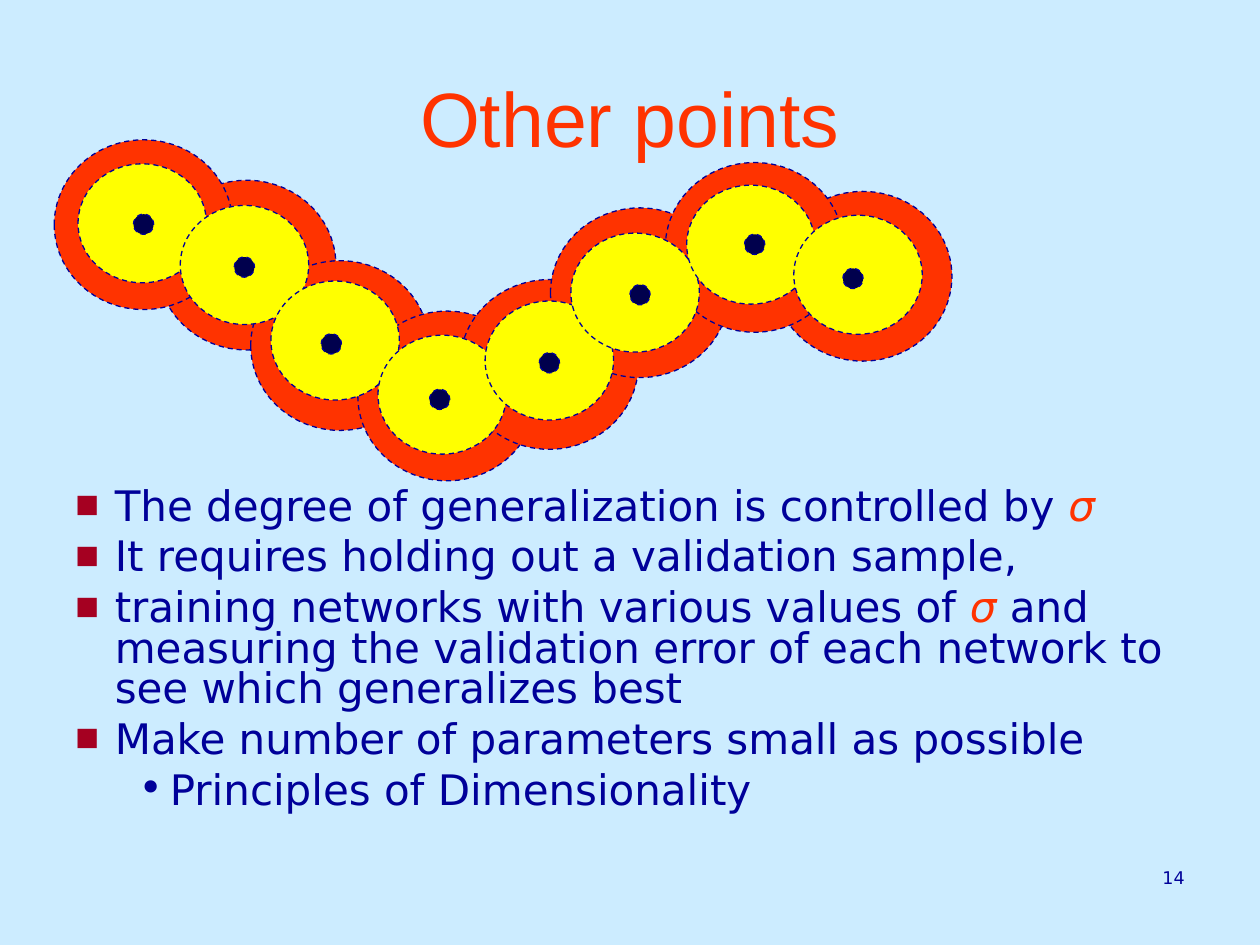
"""Build the "Other points" slide: a chain of circles above bulleted remarks."""
from lxml.etree import SubElement
from pptx import Presentation
from pptx.dml.color import RGBColor
from pptx.enum.dml import MSO_LINE_DASH_STYLE as Dash
from pptx.enum.shapes import MSO_SHAPE as Shape
from pptx.enum.text import MSO_ANCHOR as Anchor, PP_ALIGN as Align
from pptx.oxml.ns import qn
from pptx.util import Pt

NAVY, RED, YELLOW, DARK, MAROON, SKY = (
    "000099", "FF3300", "FFFF00", "00004D", "A50021", "CCECFF")
SANS = "DejaVu Sans"

RINGS = dict(color=RED, width=102, height=97, corners=[
    (90, 103), (143.3, 149), (204.5, 177.8), (262.8, 159.8),
    (314.6, 118.8), (442, 109.4), (380.2, 92.9), (31, 79.9)])
DISKS = dict(color=YELLOW, width=73.4, height=68, corners=[
    (44.6, 93.6), (103, 117.4), (154.8, 160.6), (216, 191.5),
    (277.2, 172), (326.2, 133.2), (392.4, 105.8), (453.6, 123)])
CENTERS = dict(color=DARK, width=11.5, height=11.5, corners=[
    (133.9, 146.9), (76.3, 122.4), (183.6, 190.8), (481.7, 153.4),
    (245.5, 222.5), (425.5, 133.9), (360, 162.7), (308.2, 201.6)])

SIGMA = "σ"
REMARKS = [
    (0, ["The degree of generalization is controlled by ", SIGMA]),
    (0, ["It requires holding out a validation sample,"]),
    (0, ["training networks with various values of ", SIGMA,
         " and measuring the validation error of each network to see which generalizes best"]),
    (0, ["Make number of parameters small as possible"]),
    (1, ["Principles of Dimensionality"]),
]
LEVELS = [
    dict(margin=22.5, indent=-22.5, mark="■", color=MAROON, percent=60),
    dict(margin=54, indent=-18, mark="•", color=NAVY, percent=100),
]


def rgb(value):
    """Turn a hex string into a colour."""
    return RGBColor.from_string(value)


def assign(target, values):
    """Set each attribute named in a dict."""
    for name, value in values.items():
        setattr(target, name, value)


def add_circles(slide, color, width, height, corners):
    """Draw equal dashed circles at the given corners."""
    for left, top in corners:
        circle = slide.shapes.add_shape(
            Shape.FLOWCHART_CONNECTOR, Pt(left), Pt(top), Pt(width), Pt(height))
        circle.shadow.inherit = False
        circle.fill.solid()
        circle.fill.fore_color.rgb = rgb(color)
        circle.line.color.rgb = rgb(NAVY)
        assign(circle.line, dict(width=Pt(0.75), dash_style=Dash.DASH))


def add_frame(slide, left, top, width, height, anchor=Anchor.TOP):
    """Add a wrapping text box and return its frame."""
    box = slide.shapes.add_textbox(Pt(left), Pt(top), Pt(width), Pt(height))
    assign(box.text_frame, dict(word_wrap=True, vertical_anchor=anchor))
    return box.text_frame


def add_run(paragraph, text, color, size, face=SANS, italic=False):
    """Append formatted text to a paragraph."""
    run = paragraph.add_run()
    run.text = text
    assign(run.font, dict(name=face, size=Pt(size), italic=italic))
    run.font.color.rgb = rgb(color)


def add_bullet(paragraph, margin, indent, mark, color, percent):
    """Give a paragraph its hanging indent and bullet."""
    props = paragraph._p.get_or_add_pPr()
    props.set("marL", str(Pt(margin)))
    props.set("indent", str(Pt(indent)))
    tint = SubElement(props, qn("a:buClr"))
    SubElement(tint, qn("a:srgbClr"), val=color)
    SubElement(props, qn("a:buSzPct"), val=str(percent * 1000))
    SubElement(props, qn("a:buFont"), typeface=SANS)
    SubElement(props, qn("a:buChar"), char=mark)


def add_remarks(frame):
    """Write the bulleted remarks."""
    for number, (level, pieces) in enumerate(REMARKS):
        remark = frame.add_paragraph() if number else frame.paragraphs[0]
        assign(remark, dict(level=level, line_spacing=0.8, space_before=Pt(6)))
        add_bullet(remark, **LEVELS[level])
        for piece in pieces:
            is_sigma = piece == SIGMA
            add_run(remark, piece, RED if is_sigma else NAVY, 24, italic=is_sigma)


def main():
    """Assemble and save the slide."""
    deck = Presentation()
    assign(deck, dict(slide_width=Pt(720), slide_height=Pt(540)))
    slide = deck.slides.add_slide(deck.slide_layouts[6])
    slide.background.fill.solid()
    slide.background.fill.fore_color.rgb = rgb(SKY)

    add_circles(slide, **RINGS)
    add_circles(slide, **DISKS)

    title = add_frame(slide, 36, 21.6, 648, 90, Anchor.MIDDLE).paragraphs[0]
    title.alignment = Align.CENTER
    add_run(title, "Other points", RED, 44, "Arial")

    add_remarks(add_frame(slide, 36, 275.8, 680, 215))
    add_circles(slide, **CENTERS)

    page = add_frame(slide, 516, 492, 168, 36).paragraphs[0]
    page.alignment = Align.RIGHT
    add_run(page, "14", NAVY, 10)

    deck.save("out.pptx")


if __name__ == "__main__":
    main()
